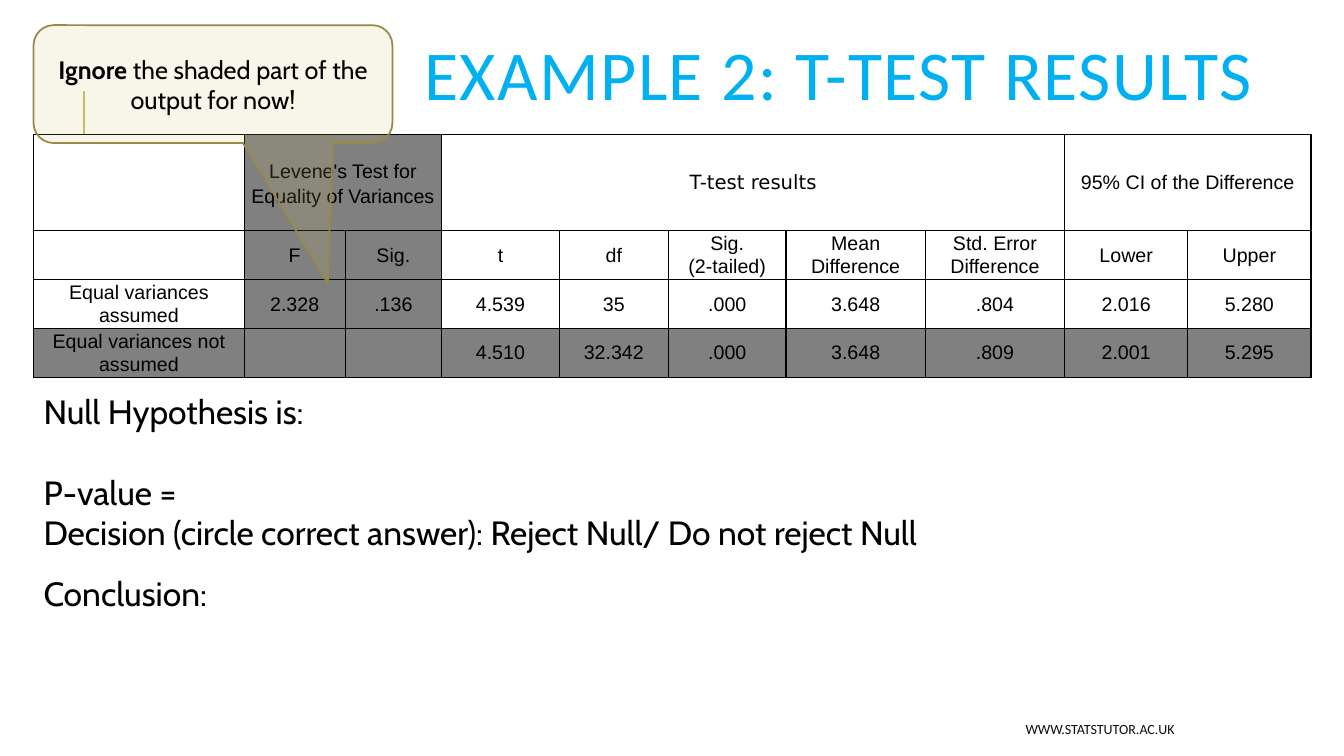
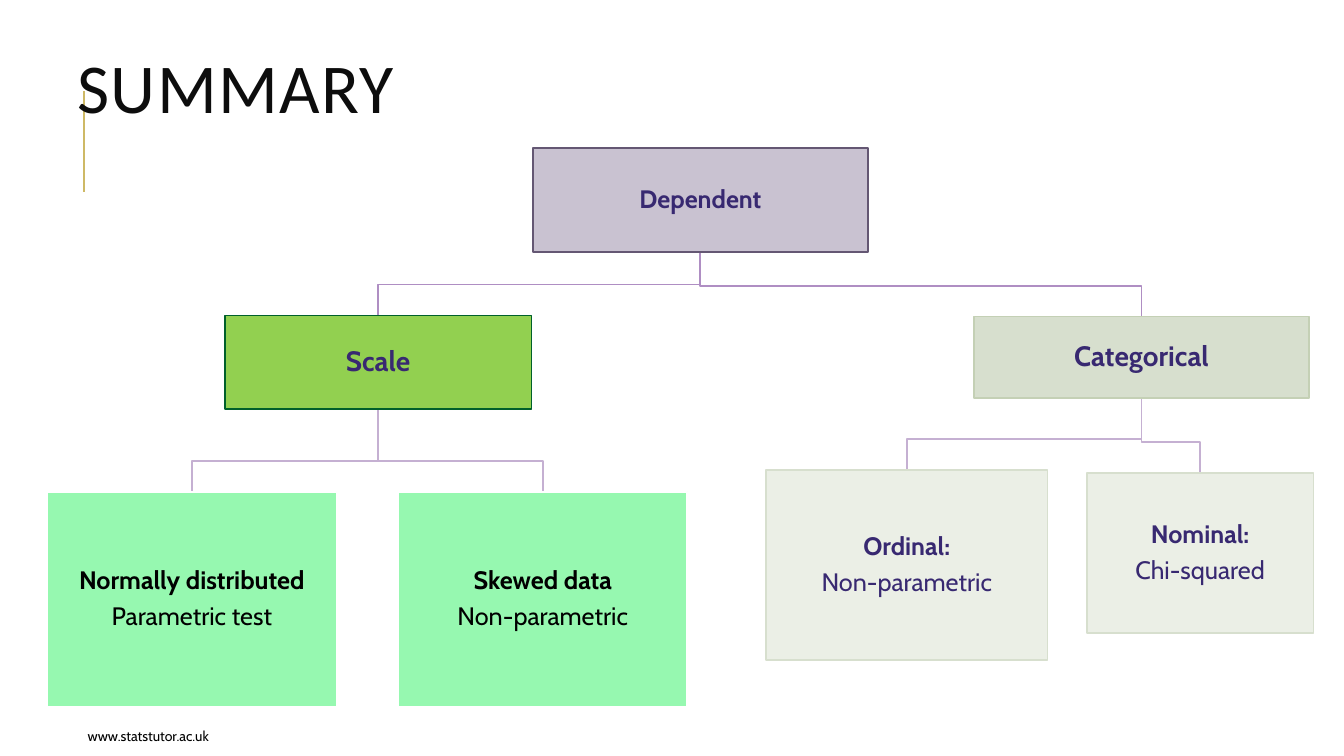
from itertools import product

from lxml import etree
from pptx import Presentation
from pptx.dml.color import RGBColor
from pptx.enum import shapes, text
from pptx.oxml import ns
from pptx.util import Pt

COLOURS = {
    "accent": "CEB966", "callout_line": "98894B", "sky": "00B0F0", "ink": "0D0D0D",
    "black": "000000", "white": "FFFFFF", "shade": "808080", "indigo": "382971",
    "root": "C9C2D1", "root_line": "645773", "scale": "92D050", "scale_line": "00602B",
    "mint": "96F8B0", "sage": "D7DFCE", "sage_line": "C4D0B5", "pale": "EBEFE6",
    "branch": "AF8EC3", "twig": "C5B0D2",
}
TITLE_FONT = {"name": "Calibri", "size": Pt(50)}
CENTRED = {"alignment": text.PP_ALIGN.CENTER}
MIDDLE = {"vertical_anchor": text.MSO_ANCHOR.MIDDLE}

COLUMN_WIDTHS = [150.5, 72, 69, 84, 78, 84, 99.5, 99.5, 88, 88]
ROW_HEIGHTS = [68.8, 34.9, 34.9, 34.9]
RESULTS = [
    ["", "Levene's Test for Equality of Variances", "", "T-test results", "", "", "", "",
     "95% CI of the Difference", ""],
    ["", "F", "Sig.", "t", "df", "Sig.\n(2-tailed)", "Mean Difference",
     "Std. Error Difference", "Lower", "Upper"],
    ["Equal variances assumed", "2.328", ".136", "4.539", "35", ".000", "3.648", ".804",
     "2.016", "5.280"],
    ["Equal variances not assumed", "", "", "4.510", "32.342", ".000", "3.648", ".809",
     "2.001", "5.295"],
]
HEADER_SPANS = [(1, 2), (3, 7), (8, 9)]
HEADER_STYLES = {1: ("Arial", 1.15), 3: ("DejaVu Sans", 1.0)}

NODES = {
    "Dependent": ((347, 0, 239, 74.2), "root", "root_line", "indigo", 18, ""),
    "Scale": ((126.8, 119.5, 219, 67), "scale", "scale_line", "indigo", 20, ""),
    "Categorical": ((661.7, 120.3, 239.8, 58.3), "sage", "sage_line", "indigo", 20, ""),
    "Normally distributed": ((0, 245.6, 206.6, 153.4), "mint", "white", "black", 18,
                             "Parametric test"),
    "Skewed data": ((250.6, 245.6, 206.6, 153.4), "mint", "white", "black", 18,
                    "Non-parametric"),
    "Ordinal:": ((513.4, 229.7, 201, 136), "pale", "sage", "indigo", 18, "Non-parametric"),
    "Nominal:": ((742.4, 231.9, 162, 114.5), "pale", "sage", "indigo", 18, "Chi-squared"),
}
LINKS = [
    ("Categorical", "Nominal:", "twig"), ("Categorical", "Ordinal:", "twig"),
    ("Dependent", "Categorical", "branch"), ("Scale", "Skewed data", "twig"),
    ("Scale", "Normally distributed", "twig"), ("Dependent", "Scale", "branch"),
]
BEND_ABOVE_CHILD = 22


def points(*values):
    """Turn plain numbers into point lengths."""
    return [Pt(value) for value in values]


def rgb(name):
    """Look up a named colour."""
    return RGBColor.from_string(COLOURS[name])


def apply(target, values):
    """Set every attribute in a dict of format values."""
    for name, value in values.items():
        setattr(target, name, value)


def write(frame, paragraphs, font, colour, layout):
    """Fill a text frame with paragraphs made of (text, bold) runs."""
    for index, runs in enumerate(paragraphs):
        paragraph = frame.add_paragraph() if index else frame.paragraphs[0]
        apply(paragraph, layout)
        for words, bold in runs:
            run = paragraph.add_run()
            run.text = words
            apply(run.font, {**font, "bold": bold})
            run.font.color.rgb = rgb(colour)


def outline(shape, colour, width):
    """Give a shape a plain line and no shadow."""
    shape.shadow.inherit = False
    shape.line.color.rgb = rgb(colour)
    shape.line.width = Pt(width)


def add_text(slide, box, paragraphs, font, colour, layout, frame_format):
    """Place a wrapping text box and return its frame."""
    frame = slide.shapes.add_textbox(*points(*box)).text_frame
    apply(frame, {"word_wrap": True, **frame_format})
    write(frame, paragraphs, font, colour, layout)
    return frame


def add_slide(presentation):
    """Add a blank slide with the shared accent line."""
    slide = presentation.slides.add_slide(presentation.slide_layouts[6])
    accent = slide.shapes.add_connector(
        shapes.MSO_CONNECTOR.STRAIGHT, *points(60, 136.8, 60, 64.8))
    accent.line.color.rgb = rgb("accent")
    accent.line.width = Pt(1.5)
    etree.SubElement(accent._element.spPr, ns.qn("a:effectLst"))
    return slide


def add_title(slide, box, words, colour):
    """Place a letter-spaced slide title."""
    frame = add_text(slide, box, [[(words, False)]], TITLE_FONT, colour,
                     {"line_spacing": 0.8}, MIDDLE)
    frame.paragraphs[0].runs[0]._r.get_or_add_rPr().set("spc", "100")


def add_footer(slide, box, words, font_name, colour, anchor):
    """Place the right-aligned web address."""
    add_text(slide, box, [[(words, False)]], {"name": font_name, "size": Pt(10)}, colour,
             {"alignment": text.PP_ALIGN.RIGHT}, {"vertical_anchor": anchor})


def add_borders(cell):
    """Draw a thin black line on each side of a cell."""
    properties = cell._tc.get_or_add_tcPr()
    for side in "LRTB":
        line = etree.SubElement(properties, ns.qn(f"a:ln{side}"), w=str(Pt(1)))
        fill = etree.SubElement(line, ns.qn("a:solidFill"))
        etree.SubElement(fill, ns.qn("a:srgbClr"), val=COLOURS["black"])


def add_results_table(slide, left, top):
    """Place the t-test results with the shaded parts."""
    size = sum(COLUMN_WIDTHS), sum(ROW_HEIGHTS)
    table = slide.shapes.add_table(
        len(ROW_HEIGHTS), len(COLUMN_WIDTHS), *points(left, top, *size)).table
    apply(table, {"first_row": False, "horz_banding": False})
    for column, width in zip(table.columns, COLUMN_WIDTHS):
        column.width = Pt(width)
    for row, height in zip(table.rows, ROW_HEIGHTS):
        row.height = Pt(height)
    for first, last in HEADER_SPANS:
        table.cell(0, first).merge(table.cell(0, last))
    margins = dict(zip(("margin_left", "margin_top", "margin_right", "margin_bottom"),
                       points(2.2, 1.4, 2.2, 1.4)))
    for row, column in product(range(len(ROW_HEIGHTS)), range(len(COLUMN_WIDTHS))):
        cell = table.cell(row, column)
        apply(cell, {**margins, **MIDDLE})
        add_borders(cell)
        cell.fill.solid()
        shaded = row == 3 or column in (1, 2)
        cell.fill.fore_color.rgb = rgb("shade" if shaded else "white")
        words = RESULTS[row][column]
        if words:
            style = HEADER_STYLES.get(column) if row == 0 else None
            font_name, spacing = style or ("Arial", Pt(16))
            write(cell.text_frame, [[(line, False)] for line in words.split("\n")],
                  {"name": font_name, "size": Pt(14)}, "black",
                  {**CENTRED, "line_spacing": spacing})


def add_callout(slide, box):
    """Place the translucent speech bubble pointing at the shaded part."""
    callout = slide.shapes.add_shape(
        shapes.MSO_SHAPE.ROUNDED_RECTANGULAR_CALLOUT, *points(*box))
    for index, value in enumerate((0.32, 1.69, 0.17)):
        callout.adjustments[index] = value
    callout.fill.solid()
    callout.fill.fore_color.rgb = rgb("accent")
    colour = callout._element.spPr.find(".//" + ns.qn("a:srgbClr"))
    etree.SubElement(colour, ns.qn("a:alpha"), val="14000")
    outline(callout, "callout_line", 1.25)
    apply(callout.text_frame, {"word_wrap": True, **MIDDLE})
    write(callout.text_frame,
          [[("Ignore ", True), ("the shaded part of the output for now!", False)]],
          {"name": "Cabin", "size": Pt(18)}, "black", CENTRED)


def add_questions(slide, box):
    """Place the prompts to be filled in below the table."""
    prompts = {
        "Null Hypothesis is:": 0,
        "P-value =": 29,
        "Decision (circle correct answer): Reject Null/ Do not reject Null": 0,
        "Conclusion:": 14.5,
    }
    frame = add_text(slide, box, [[(prompt, False)] for prompt in prompts],
                     {"name": "Cabin", "size": Pt(24)}, "black", {}, {})
    for paragraph, gap in zip(frame.paragraphs, prompts.values()):
        paragraph.space_before = Pt(gap)


def add_link(slide, left, top, parent, child, colour):
    """Draw an elbow from the foot of a parent to the head of a child."""
    (px, py, pw, ph), (cx, cy, cw, _) = NODES[parent][0], NODES[child][0]
    start_x, end_x = left + px + pw / 2, left + cx + cw / 2
    end_y = top + cy
    bend = end_y - BEND_ABOVE_CHILD
    builder = slide.shapes.build_freeform(*points(start_x, top + py + ph))
    corners = [(start_x, bend), (end_x, bend), (end_x, end_y)]
    builder.add_line_segments([points(*corner) for corner in corners], close=False)
    link = builder.convert_to_shape()
    link.fill.background()
    outline(link, colour, 1.25)


def add_node(slide, left, top, heading):
    """Place one box of the tree with its heading and test."""
    (x, y, width, height), fill, line, colour, size, test = NODES[heading]
    node = slide.shapes.add_shape(
        shapes.MSO_SHAPE.RECTANGLE, *points(left + x, top + y, width, height))
    node.fill.solid()
    node.fill.fore_color.rgb = rgb(fill)
    outline(node, line, 1.25)
    margins = dict.fromkeys(
        ("margin_left", "margin_top", "margin_right", "margin_bottom"), Pt(0.9))
    apply(node.text_frame, {"word_wrap": True, **MIDDLE, **margins})
    paragraphs = [[(heading, True)]] + ([[(test, False)]] if test else [])
    write(node.text_frame, paragraphs, {"name": "Cabin", "size": Pt(size)}, colour,
          {**CENTRED, "line_spacing": 0.9, "space_after": Pt(0.35 * size)})


def add_tree(slide, left, top):
    """Place the decision tree, links behind boxes."""
    for parent, child, colour in LINKS:
        add_link(slide, left, top, parent, child, colour)
    for heading in NODES:
        add_node(slide, left, top, heading)


def build_results_slide(presentation):
    """Build the t-test results slide."""
    slide = add_slide(presentation)
    add_footer(slide, (381.6, 509.8, 464.4, 21.6), "WWW.STATSTUTOR.AC.UK", "Calibri",
               "ink", text.MSO_ANCHOR.MIDDLE)
    add_title(slide, (296, 12.2, 664, 90), "EXAMPLE 2: T-TEST RESULTS", "sky")
    add_results_table(slide, 24, 96)
    add_callout(slide, (24, 18, 256.3, 84.2))
    add_questions(slide, (24, 275.8, 840, 167))


def build_summary_slide(presentation):
    """Build the summary slide."""
    slide = add_slide(presentation)
    add_tree(slide, 33.8, 105.8)
    add_title(slide, (48.2, 21.6, 900, 90), "SUMMARY", "ink")
    add_footer(slide, (0, 509.8, 156.2, 25.2), "www.statstutor.ac.uk", "Cabin",
               "black", text.MSO_ANCHOR.BOTTOM)


def main():
    """Build and save the presentation."""
    presentation = Presentation()
    apply(presentation, {"slide_width": Pt(960), "slide_height": Pt(540)})
    build_results_slide(presentation)
    build_summary_slide(presentation)
    presentation.save("out.pptx")


if __name__ == "__main__":
    main()
